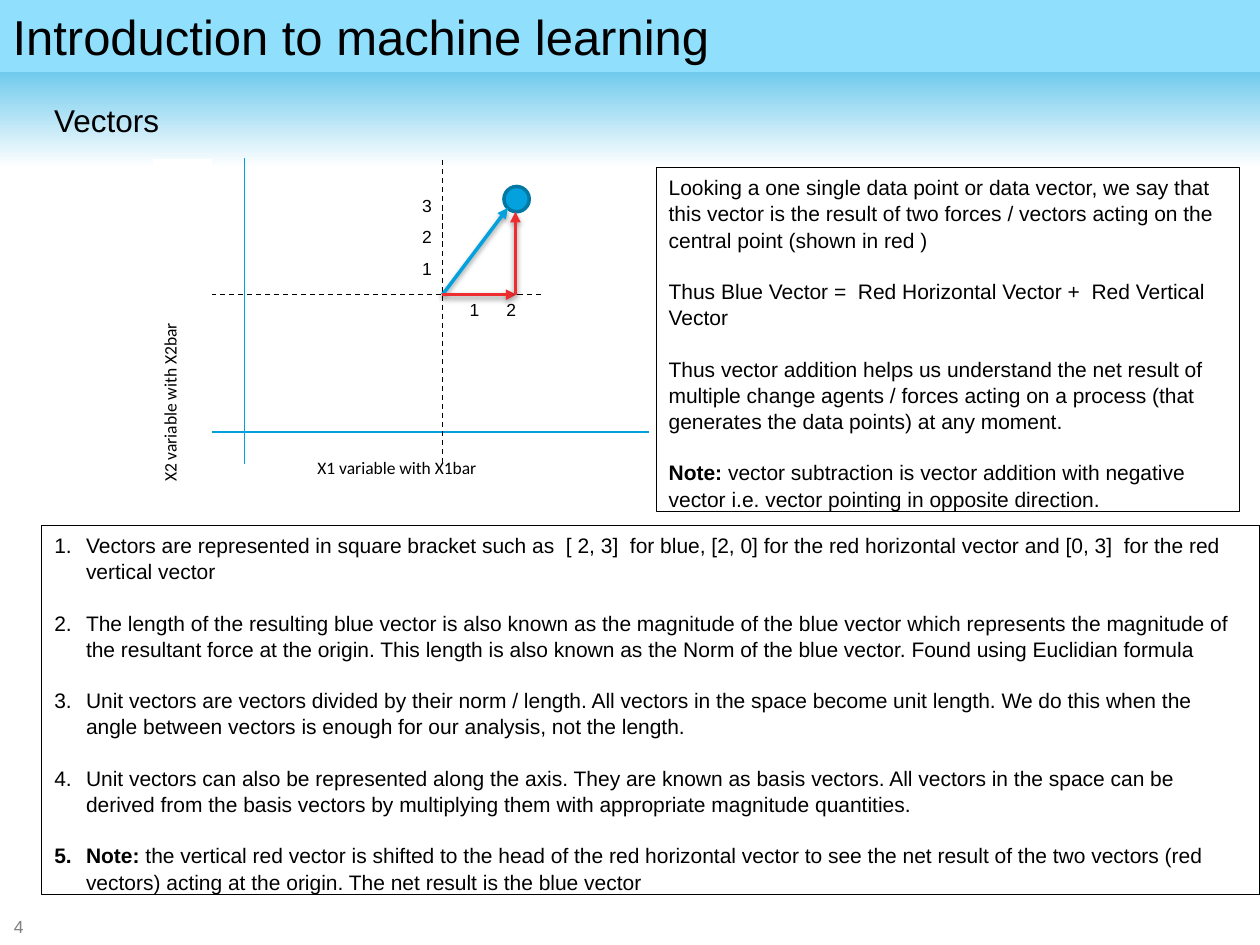
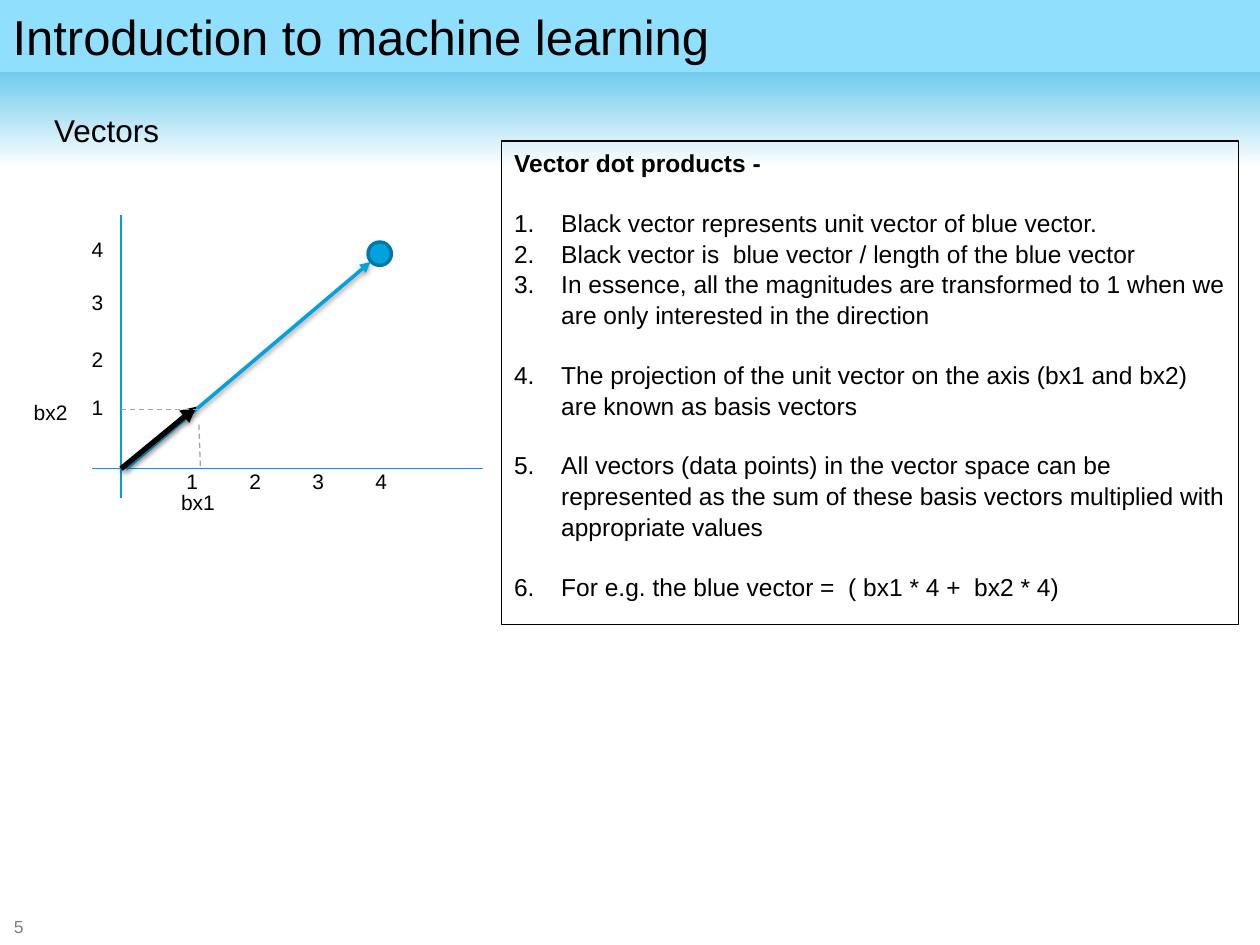
import lxml.etree
import pptx
import pptx.dml.color
import pptx.enum.dml
import pptx.enum.shapes
import pptx.enum.text
import pptx.oxml
import pptx.oxml.ns
import pptx.util

Cm = pptx.util.Cm
Pt = pptx.util.Pt

BLACK, WHITE, GREY, GUIDE = "000000", "FFFFFF", "808080", "A1A2B1"
BLUE, AXIS, RIM, RED, TITLE_BAR = "03A2DF", "00A0DD", "0278A5", "EE2D30", "8FDFFD"

DECK_TITLE = "Introduction to machine learning"
FIRST_NUMBER = 4
BAND = (0, 0, 25.4, 3.38)
TITLE = (0, 0, 25.4, 1.45)
NUMBER = (0.03, 18.47, 0.99, 0.41)

EXPLANATION = [
    ("", "Looking a one single data point or data vector, we say that this vector is the result of two forces / vectors acting on the central point (shown in red )", 1),
    ("", "Thus Blue Vector =  Red Horizontal Vector +  Red Vertical Vector", 1),
    ("", "Thus vector addition helps us understand the net result of multiple change agents / forces acting on a process (that generates the data points) at any moment.", 1),
    ("Note: ", "vector subtraction is vector addition with negative vector i.e. vector pointing in opposite direction.", 0),
]

NOTATION = [
    ("", "Vectors are represented in square bracket such as  [ 2, 3]  for blue, [2, 0] for the red horizontal vector and [0, 3]  for the red vertical vector", 1),
    ("", "The length of the resulting blue vector is also known as the magnitude of the blue vector which represents the magnitude of the resultant force at the origin. This length is also known as the Norm of the blue vector. Found using Euclidian formula", 1),
    ("", "Unit vectors are vectors divided by their norm / length. All vectors in the space become unit length. We do this when the angle between vectors is enough for our analysis, not the length.", 1),
    ("", "Unit vectors can also be represented along the axis. They are known as basis vectors. All vectors in the space can be derived from the basis vectors by multiplying them with appropriate magnitude quantities.", 1),
    ("Note:", " the vertical red vector is shifted to the head of the red horizontal vector to see the net result of the two vectors (red vectors) acting at the origin. The net result is the blue vector", 0),
]

DOT_PRODUCTS = [
    ("Vector dot products -", "", 1),
    ("", "Black vector represents unit vector of blue vector.", 0),
    ("", "Black vector is  blue vector / length of the blue vector", 0),
    ("", "In essence, all the magnitudes are transformed to 1 when we are only interested in the direction", 1),
    ("", "The projection of the unit vector on the axis (bx1 and bx2) are known as basis vectors", 1),
    ("", "All vectors (data points) in the vector space can be represented as the sum of these basis vectors multiplied with appropriate values", 1),
    ("", "For e.g. the blue vector =  ( bx1 * 4 +  bx2 * 4)", 0),
]

AXIS_LINE = {"color": AXIS, "width": 0.75}
CENTRE_LINE = {"color": BLACK, "width": 0.75, "dashed": True}
PROJECTION = {"color": GUIDE, "width": 0.75, "dashed": True}
BLUE_ARROW = {"color": BLUE, "width": 2, "shadow": 38}
RED_ARROW = {"color": RED, "width": 2, "shadow": 38}
BLACK_ARROW = {"color": BLACK, "width": 3, "shadow": 35}

ADDITION_LINES = [
    ((4.93, 3.18, 4.93, 9.35), AXIS_LINE),
    ((4.27, 8.71, 13.08, 8.71), AXIS_LINE),
    ((8.92, 3.23, 8.92, 9.4), CENTRE_LINE),
    ((10.9, 5.94, 4.14, 5.94), CENTRE_LINE),
]
ADDITION_ARROWS = [
    ((8.92, 5.94, 10.24, 4.19), BLUE_ARROW),
    ((8.92, 5.94, 10.41, 5.94), RED_ARROW),
    ((10.39, 5.94, 10.39, 4.27), RED_ARROW),
]
UNIT_LINES = [
    ((2.44, 4.34, 2.44, 10.03), AXIS_LINE),
    ((1.85, 9.45, 9.73, 9.45), AXIS_LINE),
    ((2.54, 9.45, 7.47, 5.28), BLUE_ARROW),
    ((2.44, 9.45, 3.96, 8.2), BLACK_ARROW),
    ((4.01, 8.56, 4.04, 9.45), PROJECTION),
    ((2.44, 8.26, 4.01, 8.26), PROJECTION),
]
UNIT_Y_TICK_TOPS = [7.82, 6.86, 5.72, 4.65]


def colour(value):
    return pptx.dml.color.RGBColor.from_string(value)


def set_values(target, values):
    for name, value in values.items():
        setattr(target, name, value)


def place(shape, box):
    set_values(shape, dict(zip(("left", "top", "width", "height"), map(Cm, box))))


def format_frame(frame, **values):
    set_values(frame, {
        "word_wrap": True,
        "auto_size": pptx.enum.text.MSO_AUTO_SIZE.NONE,
        "vertical_anchor": pptx.enum.text.MSO_ANCHOR.TOP,
        **values,
    })


def add_run(paragraph, text, size, font="Arial", bold=False):
    run = paragraph.add_run()
    run.text = text
    set_values(run.font, {"name": font, "size": Pt(size), "bold": bold})
    run.font.color.rgb = colour(BLACK)


def set_line(shape, value, width):
    shape.line.color.rgb = colour(value)
    shape.line.width = Pt(width)


def set_fill(shape, value):
    shape.fill.solid()
    shape.fill.fore_color.rgb = colour(value)


def add_text(slide, box, text, size, font="Arial", fill=None, **frame_values):
    shape = slide.shapes.add_textbox(*map(Cm, box))
    format_frame(shape.text_frame, **frame_values)
    add_run(shape.text_frame.paragraphs[0], text, size, font)
    if fill:
        set_fill(shape, fill)
    return shape


def set_bullet(paragraph, indent):
    properties = paragraph._p.get_or_add_pPr()
    properties.set("marL", str(Cm(indent)))
    properties.set("indent", str(-Cm(indent)))
    tag = "a:buAutoNum" if indent else "a:buNone"
    bullet = lxml.etree.SubElement(properties, pptx.oxml.ns.qn(tag))
    if indent:
        bullet.set("type", "arabicPeriod")


def fill_panel(shape, box, items, size, indent=0, headings=0):
    place(shape, box)
    set_line(shape, BLACK, 0.75)
    frame = shape.text_frame
    format_frame(frame)
    for index, (bold, plain, gap) in enumerate(items):
        paragraph = frame.add_paragraph() if index else frame.paragraphs[0]
        set_values(paragraph, {
            "line_spacing": 1.04,
            "space_before": Pt(0),
            "space_after": Pt(1.2 * size * gap),
            "alignment": pptx.enum.text.PP_ALIGN.LEFT,
        })
        set_bullet(paragraph, 0 if index < headings else indent)
        for text, is_bold in ((bold, True), (plain, False)):
            if text:
                add_run(paragraph, text, size, bold=is_bold)


def add_line(slide, ends, color, width, dashed=False, shadow=0):
    connector = slide.shapes.add_connector(
        pptx.enum.shapes.MSO_CONNECTOR.STRAIGHT, *map(Cm, ends))
    set_line(connector, color, width)
    if dashed:
        connector.line.dash_style = pptx.enum.dml.MSO_LINE.DASH
    properties = connector._element.spPr
    effects = lxml.etree.SubElement(properties, pptx.oxml.ns.qn("a:effectLst"))
    if shadow:
        line = properties.find(pptx.oxml.ns.qn("a:ln"))
        lxml.etree.SubElement(line, pptx.oxml.ns.qn("a:tailEnd")).set("type", "triangle")
        effects.append(pptx.oxml.parse_xml(
            f'<a:outerShdw {pptx.oxml.ns.nsdecls("a")} blurRad="{Pt(3.1)}" dist="{Pt(1.6)}" '
            f'dir="5400000" rotWithShape="0"><a:srgbClr val="{BLACK}">'
            f'<a:alpha val="{shadow * 1000}"/></a:srgbClr></a:outerShdw>'))


def add_lines(slide, lines):
    for ends, style in lines:
        add_line(slide, ends, **style)


def add_data_point(slide, left, top, size):
    point = slide.shapes.add_shape(
        pptx.enum.shapes.MSO_SHAPE.OVAL, *map(Cm, (left, top, size, size)))
    point.shadow.inherit = False
    set_fill(point, BLUE)
    set_line(point, RIM, 2)


def add_ticks(slide, corners, tick_size, font_size, inset):
    for number, corner in corners:
        add_text(slide, (*corner, *tick_size), str(number), font_size,
                 margin_left=Cm(inset), margin_right=0)


def add_master_band(presentation, slide):
    band = slide.shapes.add_shape(pptx.enum.shapes.MSO_SHAPE.RECTANGLE, *map(Cm, BAND))
    band.shadow.inherit = False
    band.line.fill.background()
    band.fill.gradient()
    band.fill.gradient_angle = 270
    for stop, value, position in zip(band.fill.gradient_stops, (BLUE, WHITE), (0, 1)):
        stop.color.rgb = colour(value)
        stop.position = position
    presentation.slide_master.shapes.element.insert(2, band._element)


def add_page_number(slide, number):
    shape = slide.shapes.add_textbox(*map(Cm, NUMBER))
    format_frame(shape.text_frame, margin_top=0, margin_bottom=0, margin_right=0,
                 vertical_anchor=pptx.enum.text.MSO_ANCHOR.MIDDLE)
    shape.text_frame.paragraphs[0]._p.append(pptx.oxml.parse_xml(
        f'<a:fld {pptx.oxml.ns.nsdecls("a")} id="{{B6F15528-21DE-4FAA-801E-634DDDAF4B2B}}" '
        f'type="slidenum"><a:rPr lang="en-US" sz="1000"><a:solidFill><a:srgbClr val="{GREY}"/>'
        f'</a:solidFill><a:latin typeface="Arial"/></a:rPr><a:t>{number}</a:t></a:fld>'))


def add_lesson_slide(presentation, heading_top):
    slide = presentation.slides.add_slide(presentation.slide_layouts[1])
    title = slide.shapes.title
    place(title, TITLE)
    set_fill(title, TITLE_BAR)
    format_frame(title.text_frame)
    paragraph = title.text_frame.paragraphs[0]
    paragraph.alignment = pptx.enum.text.PP_ALIGN.LEFT
    add_run(paragraph, DECK_TITLE, 28)
    add_page_number(slide, FIRST_NUMBER + len(presentation.slides) - 1)
    add_text(slide, (0.84, heading_top, 9.32, 1.07), "Vectors", 18)
    return slide


def build_addition_slide(presentation):
    slide = add_lesson_slide(presentation, 1.91)
    add_master_band(presentation, slide)
    add_text(slide, (6.15, 9.09, 7.19, 1.09), "X1 variable with X1bar", 10, "Calibri", WHITE)
    explanation_box = (13.23, 3.38, 11.76, 6.93)
    explanation = slide.shapes.add_textbox(*map(Cm, explanation_box))
    fill_panel(explanation, explanation_box, EXPLANATION, 12)
    fill_panel(slide.placeholders[1], (0.84, 10.59, 24.56, 7.44), NOTATION, 12, 0.64)
    add_lines(slide, ADDITION_LINES)
    label = add_text(slide, (0.3, 5.99, 6.76, 1.19), "X2 variable with X2bar", 10, "Calibri", WHITE)
    label.rotation = 270
    add_data_point(slide, 10.16, 3.76, 0.51)
    add_lines(slide, ADDITION_ARROWS)
    corners = [(number, (8.48 + 0.74 * number, 5.9)) for number in (1, 2)]
    corners += [(number, (8.26, 5.72 - 0.64 * number)) for number in (1, 2, 3)]
    add_ticks(slide, corners, (0.64, 0.69), 10, 0.25)


def build_dot_product_slide(presentation):
    slide = add_lesson_slide(presentation, 2.11)
    fill_panel(slide.placeholders[1], (10.11, 2.84, 14.86, 9.75), DOT_PRODUCTS, 14, 0.95, headings=1)
    add_data_point(slide, 7.42, 4.88, 0.47)
    add_lines(slide, UNIT_LINES)
    for text, corner in (("bx1", (3.4, 9.75)), ("bx2", (0.43, 7.92))):
        add_text(slide, (*corner, 1.45, 0.76), text, 12)
    corners = [(number, (2.34 + 1.27 * number, 9.32)) for number in range(1, 5)]
    corners += [(number, (1.7, top)) for number, top in enumerate(UNIT_Y_TICK_TOPS, 1)]
    add_ticks(slide, corners, (0.43, 0.76), 12, 0.15)


def main():
    presentation = pptx.Presentation()
    set_values(presentation, {"slide_width": Cm(25.4), "slide_height": Cm(19.05)})
    presentation.element.set("firstSlideNum", str(FIRST_NUMBER))
    build_addition_slide(presentation)
    build_dot_product_slide(presentation)
    presentation.save("out.pptx")


if __name__ == "__main__":
    main()
